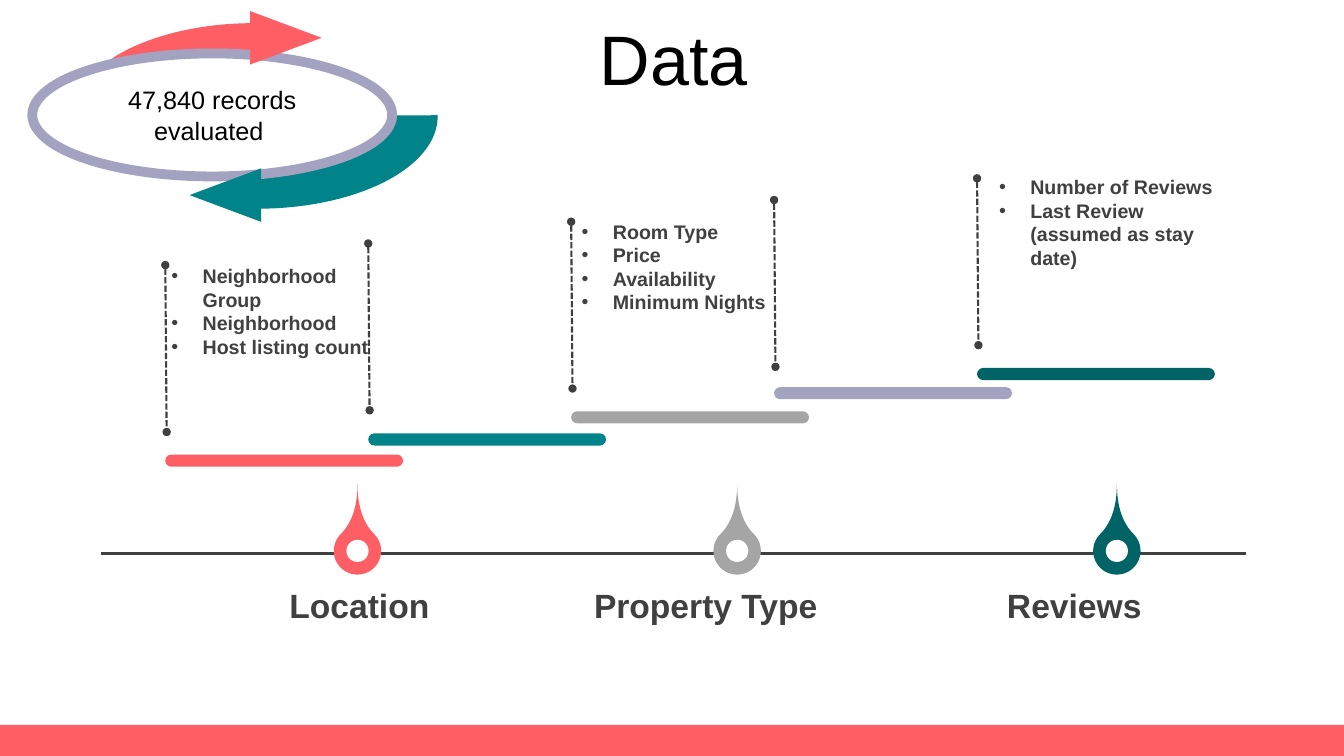
"""Build the Data slide: record cycle, rising steps and a three-pin axis."""
import pptx
import pptx.dml.color
import pptx.enum.dml
import pptx.enum.shapes
import pptx.enum.text
import pptx.oxml.ns
import pptx.util
from lxml import etree

RGB = pptx.dml.color.RGBColor
CORAL = RGB(0xFE, 0x5F, 0x64)
TEAL = RGB(0x00, 0x84, 0x89)
GRAY = RGB(0xA5, 0xA5, 0xA5)
LILAC = RGB(0xA3, 0xA3, 0xC1)
PINE = RGB(0x00, 0x63, 0x66)
INK = RGB(0x40, 0x40, 0x40)
BLACK = RGB(0, 0, 0)
WHITE = RGB(0xFF, 0xFF, 0xFF)

SHAPE = pptx.enum.shapes.MSO_SHAPE
ANCHOR = pptx.enum.text.MSO_ANCHOR
FIT = pptx.enum.text.MSO_AUTO_SIZE
CENTER = pptx.enum.text.PP_ALIGN.CENTER
WIDTH = pptx.util.Inches(13.333)
HEIGHT = pptx.util.Inches(7.5)

STEP_X, STEP_DX = 12.3, 15.1
POST_Y, POST_DY, POST_H = 35.07, -2.87, 22.07
STEPS = [(60.13, CORAL), (57.33, TEAL), (54.4, GRAY), (51.2, LILAC), (48.67, PINE)]

PIN_X, PIN_DX, PIN_Y = 26.6, 28.25, 72.87
PINS = [
    ("Location", CORAL, 15.3, 22.88),
    ("Property Type", GRAY, 42.61, 19.8),
    ("Reviews", PINE, 65.19, 29.48),
]

FIELDS = [
    ((11.85, 34.27, 16.65, 13.87),
     ["Neighborhood Group", "Neighborhood", "Host listing count"]),
    ((42.38, 28.4, 15.75, 13.87),
     ["Room Type", "Price", "Availability", "Minimum Nights"]),
    ((73.44, 22.53, 17.7, 13.87),
     ["Number of Reviews", "Last Review (assumed as stay date)"]),
]


def cols(share):
    """Return a percentage of the slide width."""
    return round(WIDTH * share / 100)


def rows(share):
    """Return a percentage of the slide height."""
    return round(HEIGHT * share / 100)


def box(x, y, w, h):
    """Return a rectangle given in percentages of the slide."""
    return cols(x), rows(y), cols(w), rows(h)


def add_run(p, text, size, color, bold=False):
    """Add one formatted run to a paragraph."""
    r = p.add_run()
    r.text = text
    r.font.name = "Arial"
    r.font.size = pptx.util.Pt(size)
    r.font.bold = bold
    r.font.color.rgb = color


def add_solid(s, kind, place, color, adjust=(), rotation=0):
    """Add a filled shape without outline or shadow."""
    sp = s.shapes.add_shape(kind, *box(*place))
    sp.shadow.inherit = False
    sp.fill.solid()
    sp.fill.fore_color.rgb = color
    sp.line.fill.background()
    for i, value in enumerate(adjust):
        sp.adjustments[i] = value
    sp.rotation = rotation
    return sp


def add_line(s, x1, y1, x2, y2, width):
    """Add a straight line without shadow."""
    ln = s.shapes.add_connector(pptx.enum.shapes.MSO_CONNECTOR.STRAIGHT,
                                cols(x1), rows(y1), cols(x2), rows(y2))
    ln.line.color.rgb = INK
    ln.line.width = pptx.util.Pt(width)
    etree.SubElement(ln._element.spPr, pptx.oxml.ns.qn("a:effectLst"))
    return ln


def add_textbox(s, place, inset_x=0, inset_y=0):
    """Add a wrapping text box and return its text frame."""
    tf = s.shapes.add_textbox(*box(*place)).text_frame
    tf.word_wrap = True
    tf.auto_size = FIT.SHAPE_TO_FIT_TEXT
    tf.margin_left = tf.margin_right = pptx.util.Inches(inset_x)
    tf.margin_top = tf.margin_bottom = pptx.util.Inches(inset_y)
    return tf


def add_title(s, text):
    """Place and format the slide title."""
    sp = s.shapes.title
    sp.left, sp.top, sp.width, sp.height = box(2.63, 3.33, 94.97, 10.53)
    tf = sp.text_frame
    tf.auto_size = FIT.NONE
    tf.vertical_anchor = ANCHOR.MIDDLE
    p = tf.paragraphs[0]
    p.alignment = CENTER
    p.line_spacing = 0.8
    p.space_before = pptx.util.Pt(10)
    add_run(p, text, 50, BLACK)


def add_pin(s, index, label, color, label_x, label_w):
    """Add a map pin on the axis with its label below."""
    x = PIN_X + index * PIN_DX
    for kind, w, h, fill, adjust, turn in (
            (SHAPE.TEAR, 3.53, 6.27, color, [2], 315),
            (SHAPE.OVAL, 1.65, 2.93, WHITE, [], 0)):
        add_solid(s, kind, (x - w / 2, PIN_Y - h / 2, w, h), fill, adjust, turn)
    p = add_textbox(s, (label_x, 77.33, label_w, 5.33)).paragraphs[0]
    p.alignment = CENTER
    add_run(p, label, 24, INK, True)


def add_step(s, index, top, color):
    """Add one rounded step bar and its dashed post."""
    x = STEP_X + index * STEP_DX
    add_solid(s, SHAPE.ROUNDED_RECTANGLE, (x, top, 17.7, 1.6), color, [0.5])
    y = POST_Y + index * POST_DY
    post = add_line(s, x, y, x + 0.1, y + POST_H, 1.5)
    post.line.dash_style = pptx.enum.dml.MSO_LINE.SQUARE_DOT
    ln = post.line._get_or_add_ln()
    for end in ("a:headEnd", "a:tailEnd"):
        etree.SubElement(ln, pptx.oxml.ns.qn(end), type="oval")


def add_bullets(s, place, items):
    """Add a bold bulleted list."""
    tf = add_textbox(s, place, 0.12, 0.05)
    indent = pptx.util.Inches(0.31)
    for i, item in enumerate(items):
        p = tf.add_paragraph() if i else tf.paragraphs[0]
        pPr = p._p.get_or_add_pPr()
        pPr.set("marL", str(indent))
        pPr.set("indent", str(-indent))
        etree.SubElement(pPr, pptx.oxml.ns.qn("a:buFont"), typeface="Arial")
        etree.SubElement(pPr, pptx.oxml.ns.qn("a:buChar"), char="•")
        add_run(p, item, 14, INK, True)


def add_cycle(s, text):
    """Add the ringed record count with its two circling arrows."""
    for x, y, color, turn in ((5.48, 3.07, CORAL, 0), (5.78, 3.2, TEAL, 180)):
        add_solid(s, SHAPE.PIE, (x, y, 26.78, 24.4), color, [107.76, 162], turn)
    ring = add_solid(s, SHAPE.OVAL, (2.4, 7.07, 26.78, 16.27), WHITE)
    ring.line.color.rgb = LILAC
    ring.line.width = pptx.util.Pt(7)
    tf = ring.text_frame
    tf.word_wrap = True
    tf.vertical_anchor = ANCHOR.MIDDLE
    tf.paragraphs[0].alignment = CENTER
    add_run(tf.paragraphs[0], text, 18, BLACK)
    for x, y, color, turn in ((19.28, 0.27, CORAL, 90), (14.78, 21.07, TEAL, 270)):
        add_solid(s, SHAPE.ISOSCELES_TRIANGLE, (x, y, 3.98, 9.47), color, (), turn)


def main():
    """Build and save the slide."""
    prs = pptx.Presentation()
    prs.slide_width, prs.slide_height = WIDTH, HEIGHT
    s = prs.slides.add_slide(prs.slide_layouts[5])
    add_solid(s, SHAPE.RECTANGLE, (0, 95.87, 100, 4.13), CORAL)
    add_title(s, "Data")
    add_line(s, 7.5, 73.2, 92.7, 73.2, 1.75)
    for i, pin in enumerate(PINS):
        add_pin(s, i, *pin)
    for i, step in enumerate(STEPS):
        add_step(s, i, *step)
    for place, items in FIELDS:
        add_bullets(s, place, items)
    add_cycle(s, "47,840 records evaluated ")
    prs.save("out.pptx")


if __name__ == "__main__":
    main()
